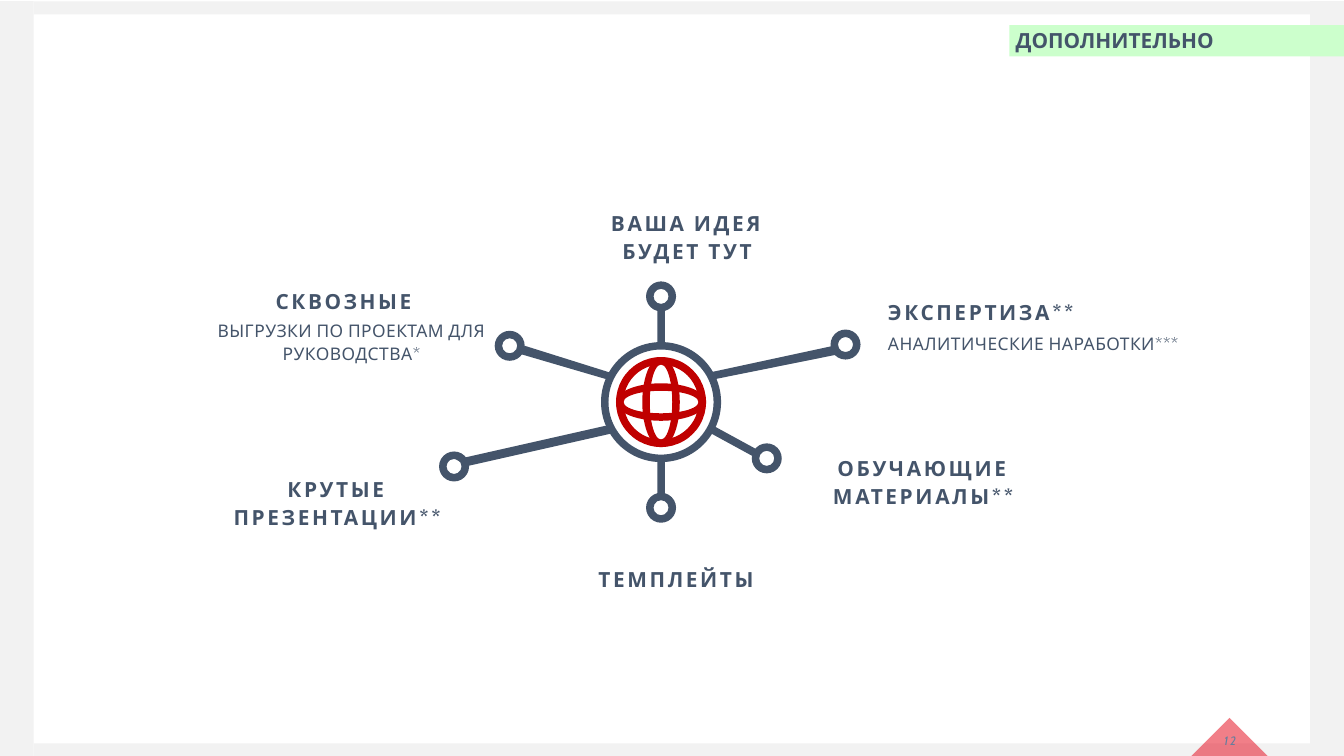
from lxml.etree import SubElement
from pptx import Presentation
from pptx.dml.color import RGBColor
from pptx.enum.shapes import MSO_SHAPE
from pptx.enum.text import MSO_ANCHOR, MSO_AUTO_SIZE, PP_ALIGN
from pptx.oxml.ns import qn
from pptx.util import Inches, Pt

COLORS = {"frame": "F2F2F2", "slate": "44546A", "globe": "C00000", "corner": "E50013",
          "number": "657D9D", "tag": "CCFFCC"}
FONT = "Cabin"

prs = Presentation()
prs.slide_width, prs.slide_height = Inches(21.49), Inches(12.09)
s = prs.slides.add_slide(prs.slide_layouts[5])


def paint(sp, color):
    sp.shadow.inherit = False
    sp.fill.solid()
    sp.fill.fore_color.rgb = RGBColor.from_string(COLORS[color])
    sp.line.fill.background()


def write(tf, text, size, color="slate", bold=False, align=PP_ALIGN.LEFT, spacing=0):
    p = tf.paragraphs[0]
    p.alignment = align
    r = p.add_run()
    r.text = text
    r._r.get_or_add_rPr().set("spc", str(int(spacing * 100)))
    p.font.name, p.font.size, p.font.bold = FONT, Pt(size), bold
    p.font.color.rgb = RGBColor.from_string(COLORS[color])
    return p


# Grey frame around the slide
for x, y, w, h in [(0, 0.02, 0.54, 12.07), (20.95, 0.02, 0.54, 12.07),
                   (0.54, 0.02, 20.42, 0.21), (0.54, 11.89, 20.42, 0.2)]:
    sp = s.shapes.add_shape(MSO_SHAPE.RECTANGLE, Inches(x), Inches(y), Inches(w), Inches(h))
    paint(sp, "frame")

# Page number on a translucent corner
corner = s.shapes.add_shape(MSO_SHAPE.ISOSCELES_TRIANGLE, Inches(19.05), Inches(11.48),
                            Inches(1.22), Inches(0.61))
paint(corner, "corner")
corner_color = corner._element.spPr.find(qn("a:solidFill"))[0]
SubElement(corner_color, qn("a:alpha"), val="50000")

number = s.shapes.add_textbox(Inches(19.23), Inches(11.69), Inches(0.88), Inches(0.32))
tf = number.text_frame
tf.margin_left = tf.margin_right = tf.margin_top = tf.margin_bottom = 0
tf.vertical_anchor = MSO_ANCHOR.MIDDLE
p = write(tf, "12", 14, "number", align=PP_ALIGN.CENTER, spacing=2.1)
p.font.italic = True

# Spokes from the hub to the nodes
for y in (4.92, 7.33):
    sp = s.shapes.add_shape(MSO_SHAPE.RECTANGLE, Inches(10.51), Inches(y), Inches(0.12), Inches(0.6))
    paint(sp, "slate")

for spoke in [
    [(7.49, 7.45), (7.29, 7.35), (9.68, 6.81), (9.88, 6.91)],
    [(9.68, 6.06), (8.28, 5.65), (8.39, 5.53), (9.79, 5.97)],
    [(11.45, 6.06), (11.29, 5.97), (13.33, 5.53), (13.49, 5.65)],
    [(12.1, 7.33), (11.33, 6.91), (11.39, 6.8), (12.16, 7.22)],
]:
    start, *corners = [(Inches(x), Inches(y)) for x, y in spoke]
    builder = s.shapes.build_freeform(*start)
    builder.add_line_segments(corners)
    paint(builder.convert_to_shape(), "slate")

# Rings: nodes, hub and globe, all with the same band thickness
BAND = 0.12
NODE = 0.48
nodes = [(10.57, 4.74), (10.57, 8.12), (8.15, 5.53), (7.26, 7.46), (12.26, 7.33), (13.52, 5.51)]
hub = (10.57, 6.43)
rings = [(center, NODE, NODE, "slate") for center in nodes]
rings += [(hub, 1.92, 1.92, "slate"), (hub, 1.44, 1.44, "globe"),
          (hub, 0.6, 1.44, "globe"), (hub, 1.44, 0.6, "globe")]
for (cx, cy), w, h, color in rings:
    sp = s.shapes.add_shape(MSO_SHAPE.DONUT, Inches(cx - w / 2), Inches(cy - h / 2),
                            Inches(w), Inches(h))
    sp.adjustments[0] = BAND / min(w, h)
    paint(sp, color)

# Labels: headings are bold and widely spaced, details are plain
LEFT, CENTER = PP_ALIGN.LEFT, PP_ALIGN.CENTER
for x, y, w, h, text, heading, align in [
    (4.31, 4.53, 2.63, 0.51, "СКВОЗНЫЕ", True, LEFT),
    (2.96, 5.04, 5.32, 0.81, "ВЫГРУЗКИ ПО ПРОЕКТАМ ДЛЯ РУКОВОДСТВА*", False, CENTER),
    (3.13, 7.54, 4.52, 0.95, "КРУТЫЕ ПРЕЗЕНТАЦИИ**", True, CENTER),
    (12.01, 7.2, 5.5, 0.95, "ОБУЧАЮЩИЕ МАТЕРИАЛЫ**", True, CENTER),
    (14.1, 4.71, 3.3, 0.51, "ЭКСПЕРТИЗА**", True, LEFT),
    (14.1, 5.24, 5.1, 0.44, "АНАЛИТИЧЕСКИЕ НАРАБОТКИ***", False, LEFT),
    (9.47, 8.98, 3.63, 0.51, "ТЕМПЛЕЙТЫ", True, LEFT),
    (9.09, 3.28, 3.79, 0.95, "ВАША ИДЕЯ БУДЕТ ТУТ", True, CENTER),
]:
    label = s.shapes.add_textbox(Inches(x), Inches(y), Inches(w), Inches(h))
    label.text_frame.word_wrap = True
    p = write(label.text_frame, text, 24 if heading else 20, bold=heading, align=align,
              spacing=3 if heading else 0.5)
    p.line_spacing = 1.1

# Title tag, in front of the frame
title = s.shapes.title
title.left, title.top, title.width, title.height = Inches(16.14), Inches(0.4), Inches(5.35), Inches(0.5)
title.fill.solid()
title.fill.fore_color.rgb = RGBColor.from_string(COLORS["tag"])
title.text_frame.auto_size = MSO_AUTO_SIZE.NONE
title.text_frame.vertical_anchor = MSO_ANCHOR.MIDDLE
write(title.text_frame, "ДОПОЛНИТЕЛЬНО", 24, bold=True)
s.shapes._spTree.append(title._element)

prs.save("out.pptx")
